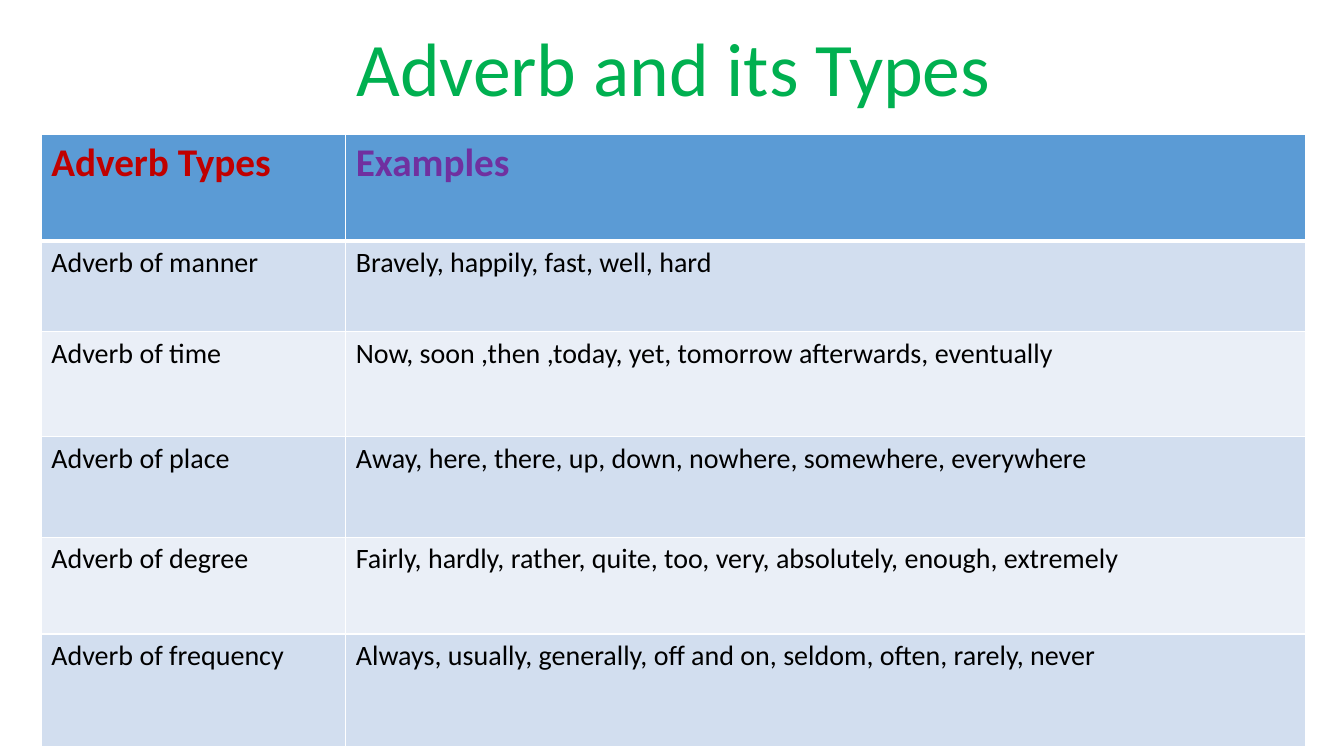
"""Build a slide with a table of adverb types and their examples."""
from dataclasses import dataclass

import lxml.etree
import pptx
import pptx.dml.color
import pptx.enum.text
import pptx.oxml.ns
import pptx.slide
import pptx.table
import pptx.text.text
import pptx.util

Inches = pptx.util.Inches
FONT = "Calibri"
LEFT, WIDTH = 0.41, 12.54
COLUMN_WIDTHS = (3.02, 9.52)
BAND_FILLS = ("D2DEEF", "EAEFF7")
THIN, THICK = 1, 3


@dataclass
class AdverbRow:
    kind: str
    examples: str
    height: float
    colors: tuple[str, str] = ("000000", "000000")
    size: int = 20
    bold: bool = False


ROWS = (
    AdverbRow("Adverb Types", "Examples", 1.06, ("C00000", "7030A0"), 28, True),
    AdverbRow("Adverb of manner", "Bravely, happily, fast, well, hard", 0.9),
    AdverbRow("Adverb of time", "Now, soon ,then ,today, yet, tomorrow afterwards, eventually", 1.04),
    AdverbRow("Adverb of place", "Away, here, there, up, down, nowhere, somewhere, everywhere", 1),
    AdverbRow("Adverb of degree", "Fairly, hardly, rather, quite, too, very, absolutely, enough, extremely", 0.96),
    AdverbRow("Adverb of frequency", "Always, usually, generally, off and on, seldom, often, rarely, never", 1.12),
)


def rgb(color: str) -> pptx.dml.color.RGBColor:
    return pptx.dml.color.RGBColor.from_string(color)


def write(frame: pptx.text.text.TextFrame, text: str, size: int, color: str, bold: bool = False) -> None:
    frame.text = text
    font = frame.paragraphs[0].runs[0].font
    font.name, font.size, font.bold = FONT, pptx.util.Pt(size), bold
    font.color.rgb = rgb(color)


def add_borders(cell: pptx.table._Cell, top: int, bottom: int) -> None:
    qn = pptx.oxml.ns.qn
    properties = cell._tc.get_or_add_tcPr()
    for side, points in (("L", THIN), ("R", THIN), ("T", top), ("B", bottom)):
        line = lxml.etree.SubElement(properties, qn(f"a:ln{side}"), w=str(pptx.util.Pt(points)))
        fill = lxml.etree.SubElement(line, qn("a:solidFill"))
        lxml.etree.SubElement(fill, qn("a:srgbClr"), val="FFFFFF")


def add_title(slide: pptx.slide.Slide) -> None:
    title = slide.shapes.title
    title.left, title.top = Inches(LEFT), Inches(0.23)
    title.width, title.height = Inches(WIDTH), Inches(0.94)
    frame = title.text_frame
    write(frame, "Adverb and its Types", 54, "00B050")
    frame.vertical_anchor = pptx.enum.text.MSO_ANCHOR.BOTTOM
    frame.paragraphs[0].alignment = pptx.enum.text.PP_ALIGN.CENTER
    frame.paragraphs[0].line_spacing = 0.9


def add_adverb_table(slide: pptx.slide.Slide) -> None:
    height = sum(row.height for row in ROWS)
    table = slide.shapes.add_table(
        len(ROWS), len(COLUMN_WIDTHS), Inches(LEFT), Inches(1.33), Inches(WIDTH), Inches(height)
    ).table
    for column, width in zip(table.columns, COLUMN_WIDTHS):
        column.width = Inches(width)
    for index, row in enumerate(ROWS):
        table.rows[index].height = Inches(row.height)
        fill = BAND_FILLS[(index - 1) % 2] if index else "5B9BD5"
        top = THICK if index == 1 else THIN
        bottom = THICK if index == 0 else THIN
        for column, (text, color) in enumerate(zip((row.kind, row.examples), row.colors)):
            cell = table.cell(index, column)
            write(cell.text_frame, text, row.size, color, row.bold)
            add_borders(cell, top, bottom)
            cell.fill.solid()
            cell.fill.fore_color.rgb = rgb(fill)


def main() -> None:
    presentation = pptx.Presentation()
    presentation.slide_width, presentation.slide_height = Inches(13.33), Inches(7.5)
    slide = presentation.slides.add_slide(presentation.slide_layouts.get_by_name("Title Only"))
    add_title(slide)
    add_adverb_table(slide)
    presentation.save("out.pptx")


if __name__ == "__main__":
    main()
